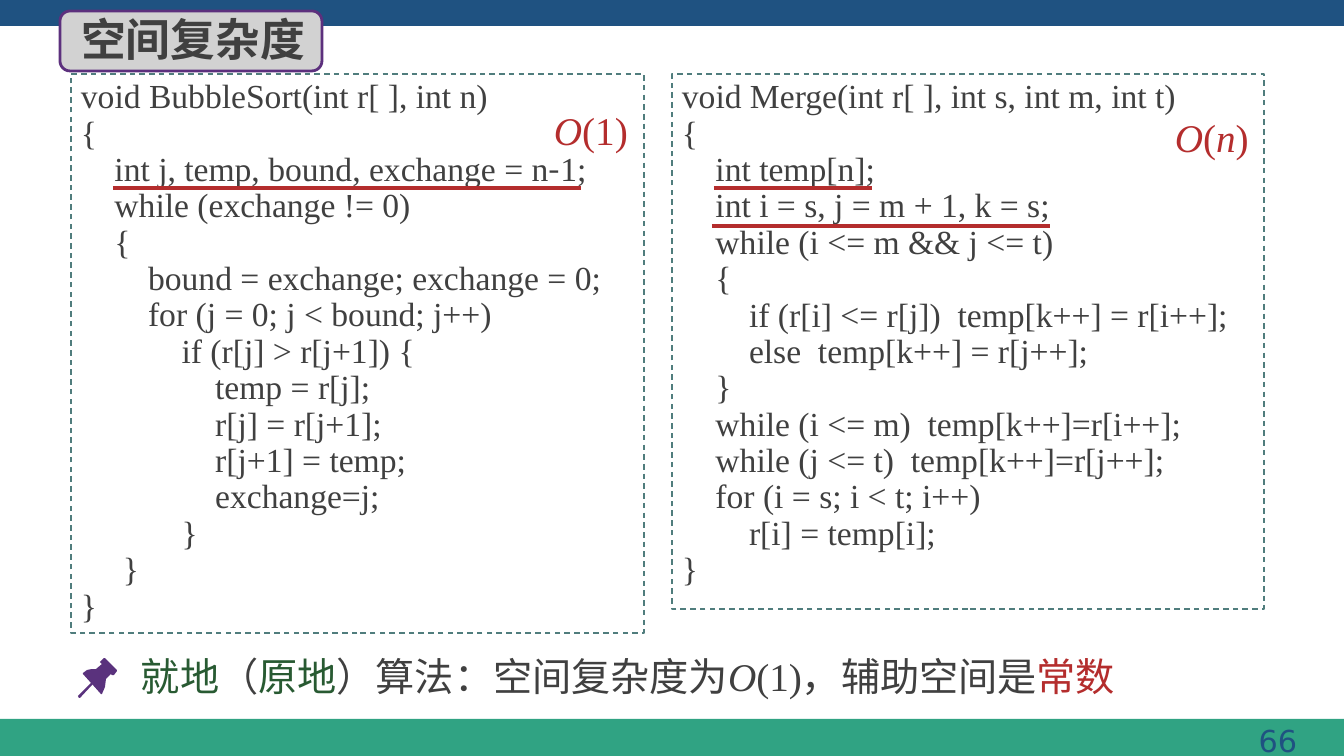
from lxml.etree import SubElement
from pptx import Presentation
from pptx.dml.color import RGBColor
from pptx.enum.dml import MSO_LINE
from pptx.enum.shapes import MSO_CONNECTOR, MSO_SHAPE
from pptx.enum.text import MSO_ANCHOR, MSO_AUTO_SIZE, PP_ALIGN
from pptx.oxml.ns import qn
from pptx.util import Pt

PX = 12192000 / 1344  # EMU per px

NAVY = RGBColor(0x1F, 0x52, 0x81)
TEAL = RGBColor(0x30, 0xA3, 0x83)
FRAME = RGBColor(0x50, 0x7D, 0x7D)
GRAY = RGBColor(0xD2, 0xD2, 0xD2)
PURPLE = RGBColor(0x5C, 0x30, 0x7D)
PIN = RGBColor(0x5A, 0x32, 0x7D)
TEXT = RGBColor(0x40, 0x40, 0x40)
RED = RGBColor(0xB4, 0x2D, 0x2D)
GREEN = RGBColor(0x28, 0x5A, 0x32)

SERIF = "Times New Roman"
CJK = "Noto Sans CJK SC"
SANS = "DejaVu Sans"

BUBBLE_SORT = """void BubbleSort(int r[ ], int n)
{
    int j, temp, bound, exchange = n-1;
    while (exchange != 0)
    {
        bound = exchange; exchange = 0;
        for (j = 0; j < bound; j++)
            if (r[j] > r[j+1]) {
                temp = r[j];
                r[j] = r[j+1];
                r[j+1] = temp;
                exchange=j;
            }
     }
}"""

MERGE = """void Merge(int r[ ], int s, int m, int t)
{
    int temp[n];
    int i = s, j = m + 1, k = s;
    while (i <= m && j <= t)
    {
        if (r[i] <= r[j])  temp[k++] = r[i++];
        else  temp[k++] = r[j++];
    }
    while (i <= m)  temp[k++]=r[i++];
    while (j <= t)  temp[k++]=r[j++];
    for (i = s; i < t; i++)
        r[i] = temp[i];
}"""


def emu(*lengths):
    return [round(length * PX) for length in lengths]


def add_run(paragraph, text, size, color, font=SERIF, bold=False, italic=False):
    run = paragraph.add_run()
    run.text = text
    run.font.size = Pt(size)
    run.font.name = font
    run.font.bold = bold
    run.font.italic = italic
    run.font.color.rgb = color
    SubElement(run.font._element, qn("a:ea"), typeface=CJK)


presentation = Presentation()
presentation.slide_width, presentation.slide_height = emu(1344, 756)
slide = presentation.slides.add_slide(presentation.slide_layouts[5])
shapes = slide.shapes

# Top and bottom bands
for top, height, color in ((719, 37, TEAL), (0, 26, NAVY)):
    band = shapes.add_shape(MSO_SHAPE.RECTANGLE, *emu(0, top, 1344, height))
    band.shadow.inherit = False
    band.fill.solid()
    band.fill.fore_color.rgb = color
    band.line.fill.background()

# Page number
page_number = shapes.add_textbox(*emu(1011, 717, 296, 46))
page_number.text_frame.word_wrap = True
paragraph = page_number.text_frame.paragraphs[0]
paragraph.alignment = PP_ALIGN.RIGHT
add_run(paragraph, "66", 21.6, NAVY, SANS)

# Title on its tab
title_tab = shapes.add_shape(MSO_SHAPE.ROUNDED_RECTANGLE, *emu(60, 11, 262, 60))
title_tab.shadow.inherit = False
title_tab.fill.solid()
title_tab.fill.fore_color.rgb = GRAY
title_tab.line.color.rgb = PURPLE
title_tab.line.width = Pt(2)

title = shapes.title
title.left, title.top, title.width, title.height = emu(71, 7, 272, 65)
title.text_frame.auto_size = MSO_AUTO_SIZE.NONE
title.text_frame.vertical_anchor = MSO_ANCHOR.TOP
paragraph = title.text_frame.paragraphs[0]
paragraph.alignment = PP_ALIGN.LEFT
add_run(paragraph, "空间复杂度", 32, TEXT, CJK, bold=True)
title_tab.element.addnext(title.element)

# Code listings
for left, width, height, code in ((71, 573, 559, BUBBLE_SORT), (672, 592, 535, MERGE)):
    listing = shapes.add_shape(MSO_SHAPE.RECTANGLE, *emu(left, 74, width, height))
    listing.shadow.inherit = False
    listing.fill.background()
    listing.line.color.rgb = FRAME
    listing.line.width = Pt(1)
    listing.line.dash_style = MSO_LINE.DASH
    frame = listing.text_frame
    frame.word_wrap = True
    frame.vertical_anchor = MSO_ANCHOR.TOP
    for number, code_line in enumerate(code.split("\n")):
        paragraph = frame.add_paragraph() if number else frame.paragraphs[0]
        paragraph.alignment = PP_ALIGN.LEFT
        paragraph.line_spacing = Pt(26)
        for piece in filter(None, code_line.partition("-")):
            add_run(paragraph, piece, 24, TEXT, CJK if piece == "-" else SERIF)

# Space complexity of each listing
for left, height, pieces in ((544, 72, ["O", "(1)"]), (1165, 85, ["O", "(", "n", ")"])):
    complexity = shapes.add_textbox(*emu(left, 100, 98, height))
    complexity.text_frame.word_wrap = True
    complexity.text_frame.vertical_anchor = MSO_ANCHOR.MIDDLE
    paragraph = complexity.text_frame.paragraphs[0]
    paragraph.line_spacing = Pt(25)
    for piece in pieces:
        add_run(paragraph, piece, 28, RED, italic=piece.isalpha())

# Underlines of the auxiliary variables
for start, end, y in ((113, 581, 188), (714, 872, 188), (712, 1050, 226)):
    underline = shapes.add_connector(MSO_CONNECTOR.STRAIGHT, *emu(start, y, end, y))
    underline.line.color.rgb = RED
    underline.line.width = Pt(2.25)
    SubElement(underline.element.spPr, qn("a:effectLst"))

# Conclusion
conclusion = shapes.add_textbox(*emu(131, 647, 1052, 57))
conclusion.text_frame.word_wrap = True
paragraph = conclusion.text_frame.paragraphs[0]
for text, color in (
    ("就地", GREEN),
    ("（", TEXT),
    ("原地", GREEN),
    ("）算法：空间复杂度为", TEXT),
    ("O", TEXT),
    ("(1)，辅助空间是", TEXT),
    ("常数", RED),
):
    add_run(paragraph, text, 28, color, italic=text == "O")

# Pushpin: head and needle
PIN_HEAD = [
    (117, 670), (105, 658), (104, 658), (100, 662), (102, 664), (96, 669),
    (92, 669), (87, 670), (83, 673), (83, 674), (101, 694), (102, 694),
    (105, 687), (106, 679), (111, 674), (112, 675), (114, 675), (117, 671),
]
PIN_NEEDLE = [(80, 698), (79, 698), (78, 696), (92, 682), (93, 682), (93, 684)]
for outline in (PIN_HEAD, PIN_NEEDLE):
    builder = shapes.build_freeform(*outline[0], scale=PX)
    builder.add_line_segments(outline[1:], close=True)
    pin_part = builder.convert_to_shape()
    pin_part.shadow.inherit = False
    pin_part.fill.solid()
    pin_part.fill.fore_color.rgb = PIN
    pin_part.line.fill.background()

presentation.save("out.pptx")
